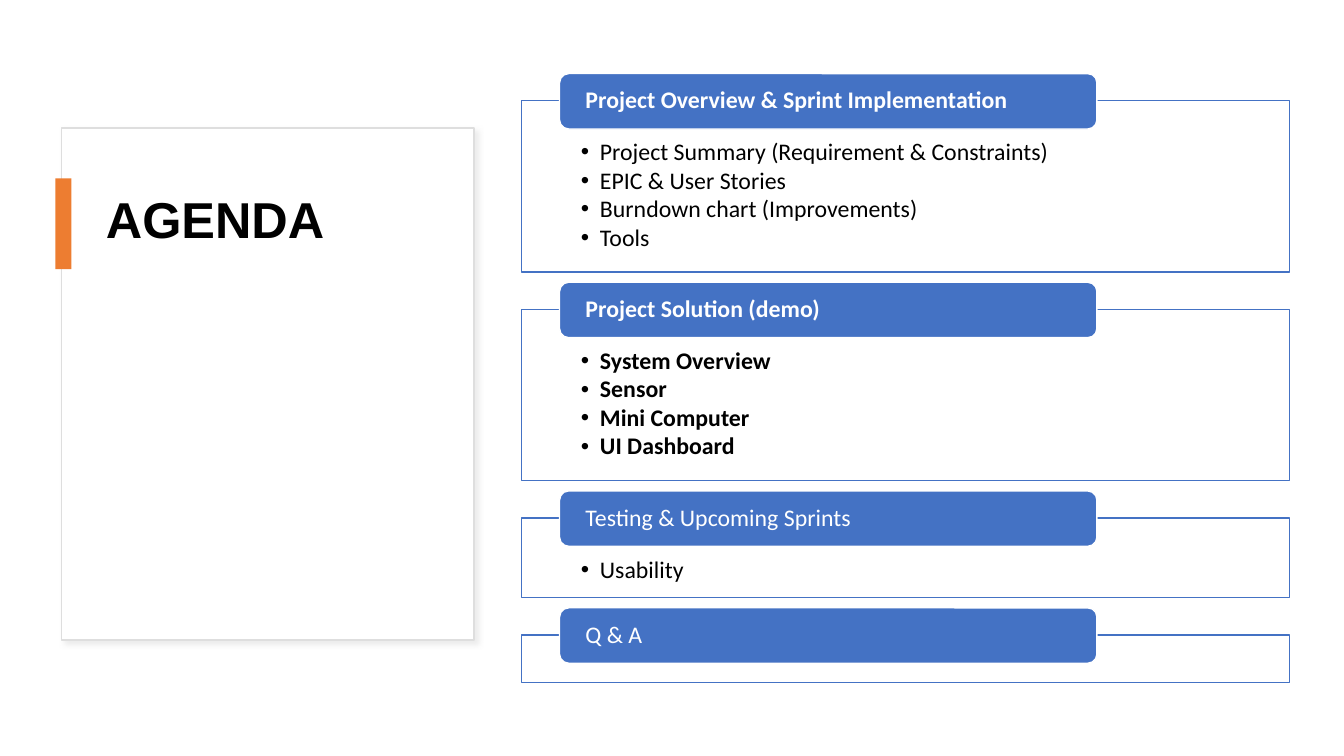
from lxml import etree
from pptx import Presentation
from pptx.dml.color import RGBColor
from pptx.enum.shapes import MSO_SHAPE
from pptx.enum.text import MSO_ANCHOR, MSO_AUTO_SIZE, PP_ALIGN
from pptx.oxml.ns import qn
from pptx.util import Pt

RECTANGLE, ROUNDED = MSO_SHAPE.RECTANGLE, MSO_SHAPE.ROUNDED_RECTANGLE
TOP, MIDDLE = MSO_ANCHOR.TOP, MSO_ANCHOR.MIDDLE
LEFT = PP_ALIGN.LEFT
NO_FIT = MSO_AUTO_SIZE.NONE

# Content: heading, heading bold, items, items bold, frame height
TITLE = "AGENDA"
SECTIONS = [
    ("Project Overview & Sprint Implementation", True,
     ["Project Summary (Requirement & Constraints)", "EPIC & User Stories",
      "Burndown chart (Improvements)", "Tools"], False, 170),
    ("Project Solution (demo)", True,
     ["System Overview", "Sensor", "Mini Computer", "UI Dashboard"], True, 170),
    ("Testing & Upcoming Sprints", False, ["Usability"], False, 79),
    ("Q & A", False, [], False, 47),
]
COLORS = {"white": "FFFFFF", "black": "000000", "blue": "4472C4",
          "orange": "ED7D31", "card line": "DEDEDE", "shadow": "D9D9D9"}

# Layout in px, 100 px to the inch
SCALE = 9144
CARD = (61, 127, 409, 508)
TITLE_BOX = (95, 188, 339, 385)
ACCENT = (55, 177, 16, 90)
FRAME_LEFT, FRAME_TOP, FRAME_WIDTH, FRAME_GAP = 517, 100, 762, 37
HEADER_LEFT, HEADER_WIDTH, HEADER_HEIGHT, HEADER_RISE = 555, 533, 55, 27
FRAME_INSETS = (59, 39, 59, 13)
HEADER_INSETS = (23, 0, 23, 0)
BULLET_INDENT = 19


def px(length):
    return int(length * SCALE)


def color(name):
    return RGBColor.from_string(COLORS[name])


def add_box(kind, box, fill, line=None):
    shape = slide.shapes.add_shape(kind, *map(px, box))
    shape.shadow.inherit = False
    shape.fill.solid()
    shape.fill.fore_color.rgb = color(fill)
    if line:
        shape.line.color.rgb = color(line)
        shape.line.width = Pt(1)
    else:
        shape.line.fill.background()
    return shape


def set_frame(shape, anchor, insets):
    frame = shape.text_frame
    settings = {"word_wrap": True, "auto_size": NO_FIT, "vertical_anchor": anchor}
    for side, inset in zip(("left", "top", "right", "bottom"), insets):
        settings["margin_" + side] = px(inset)
    for name, value in settings.items():
        setattr(frame, name, value)
    return frame


def add_bullet(paragraph):
    properties = paragraph._p.get_or_add_pPr()
    properties.set("marL", str(px(BULLET_INDENT)))
    properties.set("indent", str(-px(BULLET_INDENT)))
    etree.SubElement(properties, qn("a:buFont")).set("typeface", "Arial")
    etree.SubElement(properties, qn("a:buChar")).set("char", "•")


def write(paragraph, text, size, font, font_color, bold, after=0):
    paragraph.text = text
    layout = {"alignment": LEFT, "line_spacing": 0.9,
              "space_before": Pt(0), "space_after": Pt(after)}
    for name, value in layout.items():
        setattr(paragraph, name, value)
    run_font = paragraph.runs[0].font
    for name, value in {"size": Pt(size), "name": font, "bold": bold}.items():
        setattr(run_font, name, value)
    run_font.color.rgb = color(font_color)


def add_alpha(color_element, percent):
    etree.SubElement(color_element, qn("a:alpha")).set("val", str(percent * 1000))


presentation = Presentation()
presentation.slide_width, presentation.slide_height = px(1333), px(750)
slide = presentation.slides.add_slide(presentation.slide_layouts[5])

# Title card with soft shadow, behind the title
title = slide.shapes.title
card = add_box(RECTANGLE, CARD, "white", "card line")
title.element.addprevious(card.element)
effects = card.element.spPr.find(qn("a:effectLst"))
shadow = etree.SubElement(effects, qn("a:outerShdw"), blurRad=str(Pt(4)),
                          dist=str(Pt(3)), dir=str(45 * 60000), rotWithShape="0")
shadow_color = etree.SubElement(shadow, qn("a:srgbClr"), val=COLORS["shadow"])
add_alpha(shadow_color, 50)

# Title and accent bar
title.left, title.top, title.width, title.height = map(px, TITLE_BOX)
title_frame = set_frame(title, TOP, (10, 5, 10, 5))
write(title_frame.paragraphs[0], TITLE, 36, "Arial", "black", True)
add_box(RECTANGLE, ACCENT, "orange")

# Agenda sections, stacked with equal gaps
top = FRAME_TOP
for heading, heading_bold, items, items_bold, height in SECTIONS:
    section = add_box(RECTANGLE, (FRAME_LEFT, top, FRAME_WIDTH, height), "white", "blue")
    add_alpha(section.element.spPr.find(qn("a:solidFill"))[0], 90)
    section_frame = set_frame(section, TOP, FRAME_INSETS)
    for index, item in enumerate(items):
        paragraph = section_frame.add_paragraph() if index else section_frame.paragraphs[0]
        add_bullet(paragraph)
        write(paragraph, item, 17, "Calibri", "black", items_bold, after=2)

    header = add_box(ROUNDED, (HEADER_LEFT, top - HEADER_RISE, HEADER_WIDTH, HEADER_HEIGHT),
                     "blue", "white")
    header_frame = set_frame(header, MIDDLE, HEADER_INSETS)
    write(header_frame.paragraphs[0], heading, 17, "Calibri", "white", heading_bold)
    top += height + FRAME_GAP

presentation.save("out.pptx")
